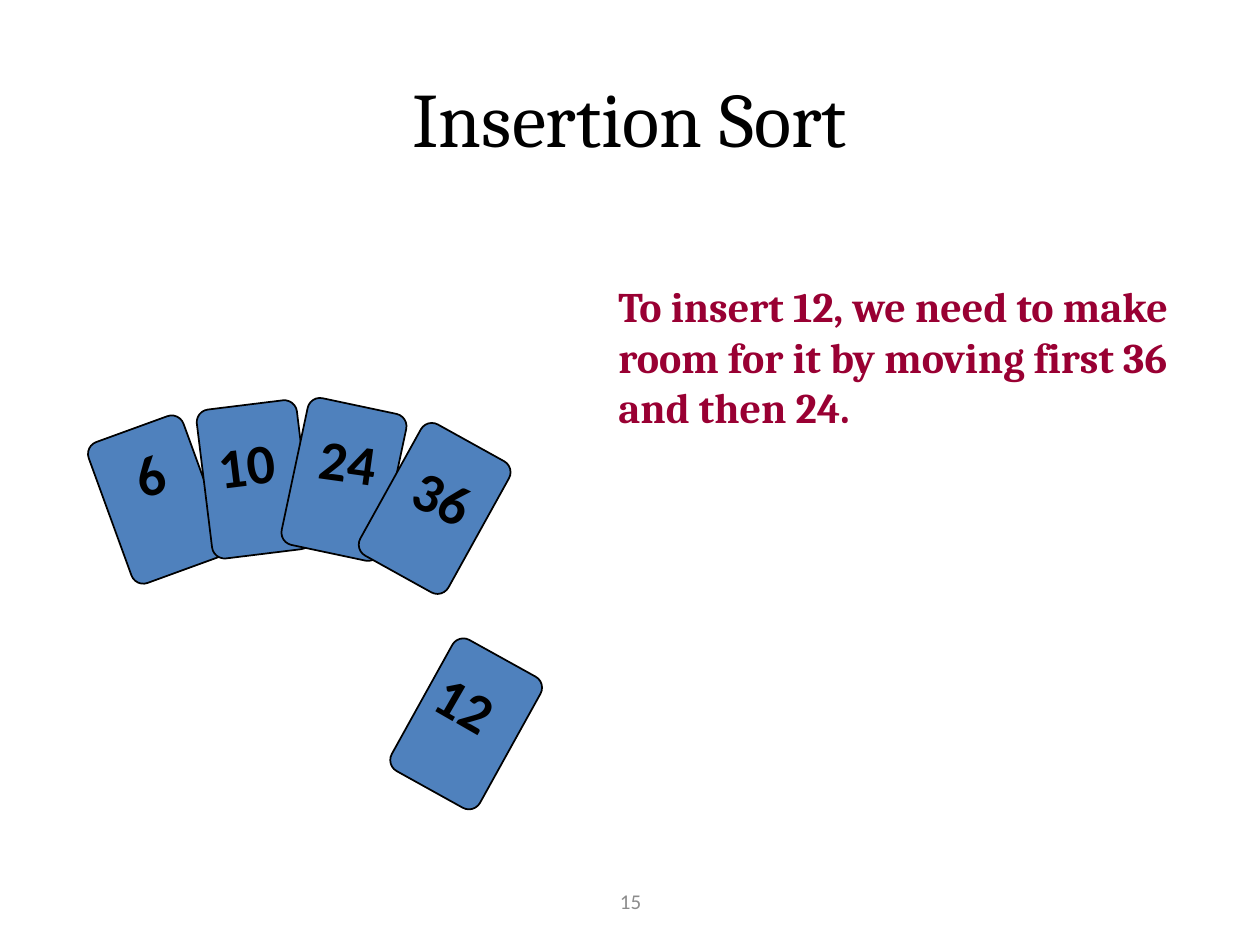
from pptx import Presentation
from pptx.dml.color import RGBColor
from pptx.enum.shapes import MSO_SHAPE
from pptx.enum.text import MSO_ANCHOR, MSO_AUTO_SIZE, PP_ALIGN
from pptx.util import Inches, Pt

# Content
TITLE = "Insertion Sort"
NOTE = "To insert 12, we need to make room for it by moving first 36 and then 24."
PAGE = "15"
# value, card (left, top, angle), label (left, top, width, angle), back to front
CARDS = [
    ("6", (0.85, 3.37, 340), (0.97, 3.44, 0.45, 341)),
    ("10", (1.62, 3.21, 353), (1.63, 3.36, 0.7, 353)),
    ("24", (2.33, 3.21, 12), (2.44, 3.34, 0.7, 8)),
    ("12", (3.3, 5.15, 29), (3.37, 5.28, 0.7, 30)),
    ("36", (3.05, 3.44, 29), (3.19, 3.63, 0.7, 25)),
]
CARD_W, CARD_H, LABEL_H = 0.8, 1.19, 0.63
BLACK, BLUE, CRIMSON, GREY = "000000", "4F81BD", "990033", "8C8C8C"


def color(value):
    return RGBColor.from_string(value)


def write(frame, text, size, font, ink, bold=False, align=PP_ALIGN.LEFT):
    paragraph = frame.paragraphs[0]
    paragraph.alignment = align
    run = paragraph.add_run()
    run.text = text
    run.font.size = Pt(size)
    run.font.name = font
    run.font.bold = bold
    run.font.color.rgb = color(ink)


def add_text(slide, box, *style, wrap=True, anchor=MSO_ANCHOR.TOP, **options):
    area = slide.shapes.add_textbox(*map(Inches, box))
    frame = area.text_frame
    frame.word_wrap = wrap
    frame.vertical_anchor = anchor
    frame.auto_size = MSO_AUTO_SIZE.NONE
    write(frame, *style, **options)
    return area


def add_card(slide, value, place, label_place):
    left, top, angle = place
    card = slide.shapes.add_shape(
        MSO_SHAPE.ROUNDED_RECTANGLE,
        *map(Inches, (left, top, CARD_W, CARD_H)))
    card.adjustments[0] = 0.125
    card.rotation = angle
    card.shadow.inherit = False
    card.fill.solid()
    card.fill.fore_color.rgb = color(BLUE)
    card.line.color.rgb = color(BLACK)
    card.line.width = Pt(1)

    left, top, width, angle = label_place
    label = add_text(slide, (left, top, width, LABEL_H),
                     value, 32, "Calibri", BLACK, wrap=False, bold=True)
    label.rotation = angle


def main():
    deck = Presentation()
    deck.slide_width, deck.slide_height = Inches(10), Inches(7.5)
    slide = deck.slides.add_slide(deck.slide_layouts[5])

    # Title
    title = slide.shapes.title
    title.left, title.top, title.width, title.height = map(
        Inches, (0.5, 0.3, 9, 1.25))
    title.text_frame.vertical_anchor = MSO_ANCHOR.MIDDLE
    write(title.text_frame, TITLE, 44, "Cambria", BLACK, align=PP_ALIGN.CENTER)

    # Explanation
    add_text(slide, (4.81, 2.18, 4.66, 1.31),
             NOTE, 24, "Cambria", CRIMSON, bold=True)

    # Hand of cards and the card to insert
    for value, place, label_place in CARDS:
        add_card(slide, value, place, label_place)

    # Page number
    add_text(slide, (3.42, 6.95, 3.17, 0.4), PAGE, 12, "Calibri", GREY,
             anchor=MSO_ANCHOR.MIDDLE, align=PP_ALIGN.CENTER)

    deck.save("out.pptx")


if __name__ == "__main__":
    main()
